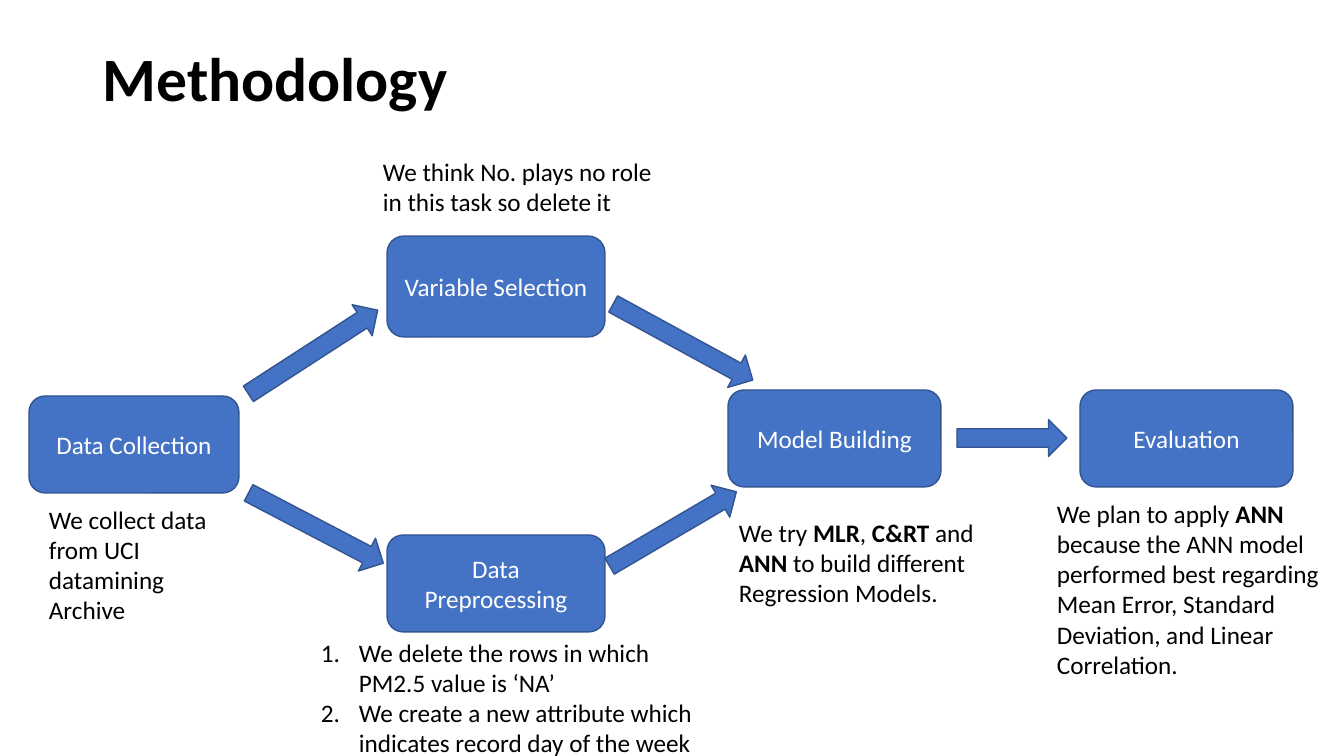
from dataclasses import dataclass

from lxml.etree import SubElement
from pptx import Presentation
from pptx.dml.color import RGBColor
from pptx.enum.shapes import MSO_SHAPE
from pptx.enum.text import MSO_ANCHOR, MSO_AUTO_SIZE, PP_ALIGN
from pptx.oxml.ns import qn
from pptx.shapes.autoshape import Shape
from pptx.slide import Slide
from pptx.text.text import TextFrame
from pptx.util import Emu, Pt

SCALE = 914400 / 100.8


@dataclass(frozen=True)
class Theme:
    font: str = "Calibri"
    head: int = 44
    body: int = 18
    edge: int = 1
    ink: RGBColor = RGBColor(0x00, 0x00, 0x00)
    pale: RGBColor = RGBColor(0xFF, 0xFF, 0xFF)
    fill: RGBColor = RGBColor(0x44, 0x72, 0xC4)
    line: RGBColor = RGBColor(0x32, 0x54, 0x91)


@dataclass(frozen=True)
class Step:
    left: int
    top: int
    width: int
    height: int
    label: str


@dataclass(frozen=True)
class Note:
    left: int
    top: int
    width: int
    height: int
    lines: tuple[str, ...]
    listed: bool = False


@dataclass(frozen=True)
class Arrow:
    mid_x: int
    mid_y: int
    length: int
    turn: float


THEME = Theme()
THICK = 37
INDENT = 38

TITLE = Note(93, 9, 1159, 146, ("*Methodology*",))

STEPS = (
    Step(29, 396, 210, 97, "Data Collection"),
    Step(387, 535, 218, 97, "Data Preprocessing"),
    Step(387, 236, 218, 101, "Variable Selection"),
    Step(728, 390, 213, 97, "Model Building"),
    Step(1080, 390, 213, 97, "Evaluation"),
)

NOTES = (
    Note(39, 499, 181, 132, ("We collect data from UCI datamining Archive",)),
    Note(311, 632, 409, 132, (
        "We delete the rows in which PM2.5 value is ‘NA’",
        "We create a new attribute which indicates record day of the week",
    ), listed=True),
    Note(373, 151, 309, 72, ("We think No. plays no role in this task so delete it",)),
    Note(729, 512, 263, 102, (
        "We try *MLR*, *C&RT *and *ANN* to build different Regression Models.",
    )),
    Note(1047, 493, 334, 194, (
        "We plan to apply *ANN *because the ANN model performed best regarding "
        "Mean Error, Standard Deviation, and Linear Correlation.",
    )),
)

ARROWS = (
    Arrow(313, 352, 154, 237.1),
    Arrow(316, 528, 152, 297.6),
    Arrow(673, 529, 147, 239.6),
    Arrow(683, 342, 159, 298.6),
    Arrow(1012, 438, 110, 270),
)


def px(size: float) -> Emu:
    return Emu(round(size * SCALE))


def write(frame: TextFrame, lines: tuple[str, ...], size: int, color: RGBColor) -> None:
    frame.word_wrap = True
    for spot, line in enumerate(lines):
        para = frame.add_paragraph() if spot else frame.paragraphs[0]
        for turn, part in enumerate(line.split("*")):
            if not part:
                continue
            run = para.add_run()
            run.text = part
            run.font.name = THEME.font
            run.font.size = Pt(size)
            run.font.bold = turn % 2 == 1
            run.font.color.rgb = color


def number(frame: TextFrame) -> None:
    for para in frame.paragraphs:
        props = para._p.get_or_add_pPr()
        props.set("marL", str(px(INDENT)))
        props.set("indent", str(-px(INDENT)))
        SubElement(props, qn("a:buAutoNum"), type="arabicPeriod")


def paint(shape: Shape) -> None:
    shape.shadow.inherit = False
    shape.fill.solid()
    shape.fill.fore_color.rgb = THEME.fill
    shape.line.color.rgb = THEME.line
    shape.line.width = Pt(THEME.edge)


def add_step(slide: Slide, step: Step) -> None:
    shape = slide.shapes.add_shape(
        MSO_SHAPE.FLOWCHART_ALTERNATE_PROCESS,
        px(step.left), px(step.top), px(step.width), px(step.height),
    )
    paint(shape)
    frame = shape.text_frame
    write(frame, (step.label,), THEME.body, THEME.pale)
    frame.vertical_anchor = MSO_ANCHOR.MIDDLE
    frame.paragraphs[0].alignment = PP_ALIGN.CENTER


def add_note(slide: Slide, note: Note, size: int) -> TextFrame:
    box = slide.shapes.add_textbox(
        px(note.left), px(note.top), px(note.width), px(note.height),
    )
    frame = box.text_frame
    write(frame, note.lines, size, THEME.ink)
    if note.listed:
        number(frame)
    return frame


def add_arrow(slide: Slide, arrow: Arrow) -> None:
    shape = slide.shapes.add_shape(
        MSO_SHAPE.DOWN_ARROW,
        px(arrow.mid_x - THICK / 2), px(arrow.mid_y - arrow.length / 2),
        px(THICK), px(arrow.length),
    )
    shape.rotation = arrow.turn
    paint(shape)


def main() -> None:
    deck = Presentation()
    deck.slide_width = px(1344)
    deck.slide_height = px(756)
    slide = deck.slides.add_slide(deck.slide_layouts[6])
    title = add_note(slide, TITLE, THEME.head)
    title.vertical_anchor = MSO_ANCHOR.MIDDLE
    title.paragraphs[0].line_spacing = 0.9
    for step in STEPS:
        add_step(slide, step)
    for note in NOTES:
        add_note(slide, note, THEME.body).auto_size = MSO_AUTO_SIZE.SHAPE_TO_FIT_TEXT
    for arrow in ARROWS:
        add_arrow(slide, arrow)
    deck.save("out.pptx")


main()
